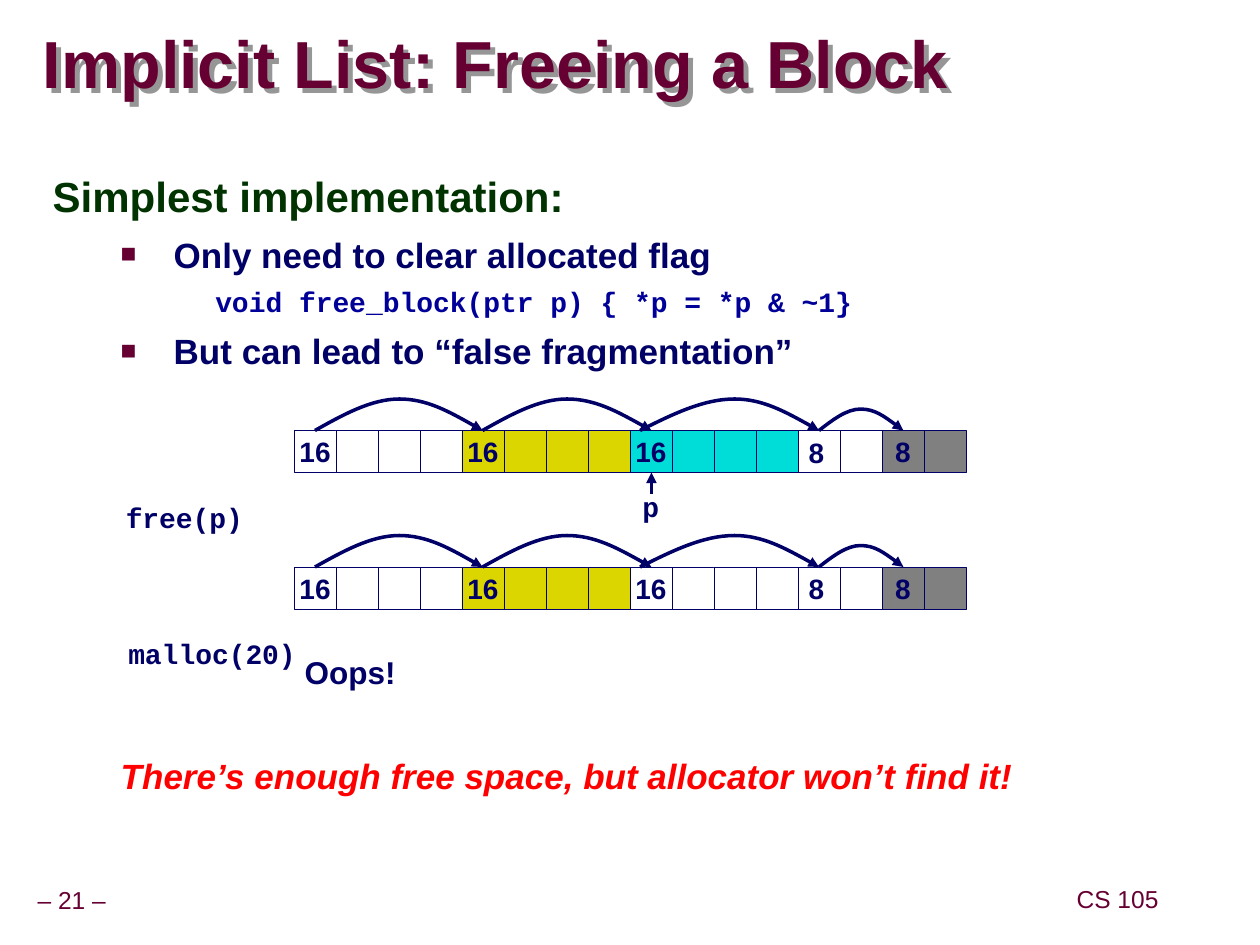
from lxml import etree
from pptx import Presentation
from pptx.dml.color import RGBColor
from pptx.enum.shapes import MSO_CONNECTOR, MSO_SHAPE
from pptx.enum.text import MSO_ANCHOR as ANCHOR, MSO_AUTO_SIZE, PP_ALIGN as ALIGN
from pptx.oxml.ns import qn
from pptx.util import Inches, Pt

COLORS = {
    "maroon": "660033", "green": "003300", "navy": "000066", "code": "000099",
    "red": "FF0000", "white": "FFFFFF", "yellow": "DBD600", "cyan": "00DDD8",
    "gray": "808080", "shadow": "969696",
}
RGB = {name: RGBColor.from_string(value) for name, value in COLORS.items()}


def add_label(text, left, top, width, height, size=16, font="Arial",
              color="navy", bold=True, align=ALIGN.LEFT):
    label = slide.shapes.add_textbox(Inches(left), Inches(top), Inches(width), Inches(height))
    label.text_frame.word_wrap = False
    line = label.text_frame.paragraphs[0]
    line.text = text
    line.alignment = align
    line.font.size, line.font.name, line.font.bold = Pt(size), font, bold
    line.font.color.rgb = RGB[color]
    return label


def make_arrow(shape):
    shape.line.color.rgb = RGB["navy"]
    shape.line.width = Pt(2)
    etree.SubElement(shape.line._get_or_add_ln(), qn("a:tailEnd"), type="triangle")
    etree.SubElement(shape._element.spPr, qn("a:effectLst"))


prs = Presentation()
prs.slide_width, prs.slide_height = Inches(10), Inches(7.5)
slide = prs.slides.add_slide(prs.slide_layouts[5])

title = slide.shapes.title
title.left, title.top, title.width, title.height = (Inches(v) for v in (0.34, 0.16, 7.96, 0.75))
heading = title.text_frame
heading.auto_size = MSO_AUTO_SIZE.NONE
heading.vertical_anchor = ANCHOR.MIDDLE
heading.margin_left = heading.margin_right = heading.margin_top = heading.margin_bottom = 0
heading.text = "Implicit List: Freeing a Block"
headline = heading.paragraphs[0]
headline.alignment = ALIGN.LEFT
headline.line_spacing = 0.87
headline.font.size, headline.font.name, headline.font.bold = Pt(38), "Arial", True
headline.font.color.rgb = RGB["maroon"]
effects = etree.SubElement(title._element.spPr, qn("a:effectLst"))
shadow = etree.SubElement(effects, qn("a:outerShdw"), dist=str(Pt(4)), dir="2700000", algn="ctr")
etree.SubElement(shadow, qn("a:srgbClr"), val=COLORS["shadow"])

body = slide.shapes.add_textbox(Inches(0.32), Inches(1.33), Inches(9.09), Inches(5.91)).text_frame
body.word_wrap = True
body_lines = [
    ("Simplest implementation:", 24, "Arial", "green", 0, 0, 0.95, 0, False),
    ("Only need to clear allocated flag", 20, "Arial", "navy", 0.96, -0.42, 1, 6.5, True),
    ("void free_block(ptr p) { *p = *p & ~1}", 16, "Courier New", "code", 1.29, 0, 1.07, 4.2, False),
    ("But can lead to “false fragmentation”", 20, "Arial", "navy", 0.96, -0.42, 1, 6.2, True),
    ("There’s enough free space, but allocator won’t find it!",
     20, "Arial", "red", 0.96, -0.42, 1, 219, False),
]
for i, (text, size, font, color, margin, indent, spacing, before, bullet) in enumerate(body_lines):
    line = body.paragraphs[0] if i == 0 else body.add_paragraph()
    line.text = text
    line.line_spacing = spacing
    line.space_before = Pt(before)
    props = line._p.get_or_add_pPr()
    props.set("marL", str(Inches(margin)))
    props.set("indent", str(Inches(indent)))
    if bullet:
        bullet_color = etree.SubElement(props, qn("a:buClr"))
        etree.SubElement(bullet_color, qn("a:srgbClr"), val=COLORS["maroon"])
        etree.SubElement(props, qn("a:buSzPct"), val="75000")
        etree.SubElement(props, qn("a:buFont"), typeface="Arial")
        etree.SubElement(props, qn("a:buChar"), char="■")
    line.font.size, line.font.name, line.font.bold = Pt(size), font, True
    line.font.color.rgb = RGB[color]
body.paragraphs[-1].font.italic = True

CELL = 1 / 3
HEAP_LEFT = 7 / 3
CELL_LABELS = {0: "16", 4: "16", 8: "16", 14: "8"}
HOPS = [(2.5, 3.17, 3.83, 0.25), (3.83, 4.5, 5.17, 0.25),
        (5.08, 5.83, 6.5, 0.25), (6.5, 6.83, 7.17, 0.17)]

for heap_top, third_block in [(41 / 12, "cyan"), (4.5, "white")]:
    fills = ["white"] * 4 + ["yellow"] * 4 + [third_block] * 4 + ["white"] * 2 + ["gray"] * 2
    for i, fill in enumerate(fills):
        cell = slide.shapes.add_shape(
            MSO_SHAPE.RECTANGLE, Inches(HEAP_LEFT + i * CELL), Inches(heap_top),
            Inches(CELL), Inches(CELL))
        cell.shadow.inherit = False
        cell.fill.solid()
        cell.fill.fore_color.rgb = RGB[fill]
        cell.line.color.rgb = RGB["navy"]
        cell.line.width = Pt(0.25)
        if i in CELL_LABELS:
            cell.text_frame.word_wrap = False
            cell.text_frame.vertical_anchor = ANCHOR.MIDDLE
            size_text = cell.text_frame.paragraphs[0]
            size_text.text = CELL_LABELS[i]
            size_text.alignment = ALIGN.CENTER
            size_text.font.size, size_text.font.name, size_text.font.bold = Pt(16), "Arial", True
            size_text.font.color.rgb = RGB["navy"]
    add_label("8", 6.32, heap_top - 0.01, 0.32, 0.37)

    for start, peak, end, rise in HOPS:
        climb, fall = (peak - start) / 3, (end - peak) / 3
        controls = [(start + climb, 0.5), (peak - climb, 1), (peak, 1),
                    (peak + fall, 1), (end - fall, 0.5), (end, 0)]
        outline = slide.shapes.build_freeform(Inches(start), Inches(heap_top))
        outline.add_line_segments(
            [(Inches(x), Inches(heap_top - rise * lift)) for x, lift in controls], close=False)
        hop = outline.convert_to_shape()
        segments = list(hop._element.iter(qn("a:lnTo")))
        curve = segments[0].getparent()
        for first in (0, 3):
            bezier = etree.SubElement(curve, qn("a:cubicBezTo"))
            for segment in segments[first:first + 3]:
                bezier.append(segment[0])
                curve.remove(segment)
        hop.fill.background()
        make_arrow(hop)

pointer = slide.shapes.add_connector(
    MSO_CONNECTOR.STRAIGHT, Inches(5.17), Inches(3.92), Inches(5.17), Inches(3.75))
make_arrow(pointer)

add_label("p", 5, 3.84, 0.33, 0.37, font="Courier New")
add_label("free(p)", 0.9, 3.92, 1.13, 0.37, font="Courier New")
add_label("malloc(20)", 0.92, 5, 1.53, 0.37, font="Courier New")
add_label("Oops!", 2.32, 5.13, 0.92, 0.4, size=18)

for text, left, top in [("– 21 –", 0.07, 7), ("CS 105", 8.37, 6.99)]:
    footer = add_label(text, left, top, 1, 0.31, size=14, color="maroon",
                       bold=False, align=ALIGN.CENTER).text_frame
    footer.vertical_anchor = ANCHOR.MIDDLE
    footer.margin_left = footer.margin_right = Inches(0.05)
    footer.paragraphs[0].line_spacing = 0.9

prs.save("out.pptx")
